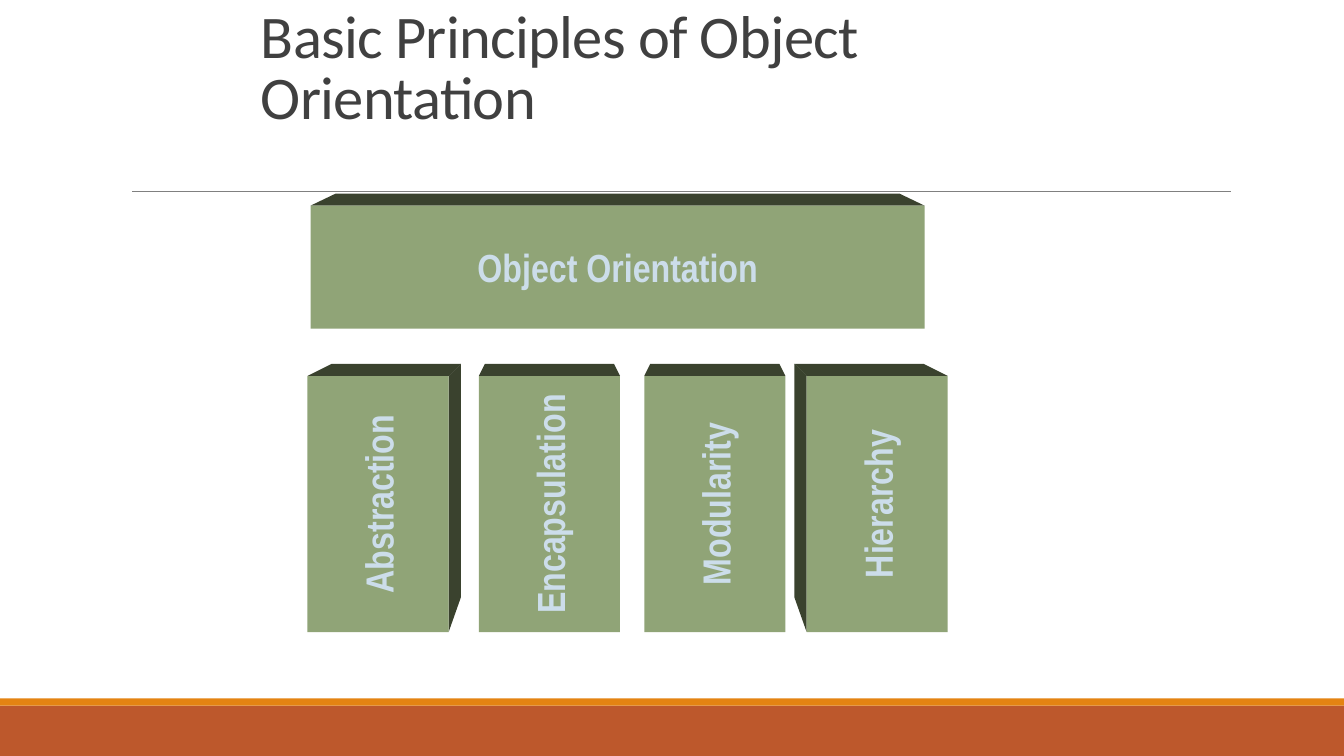
import pptx
import pptx.dml.color
import pptx.enum.shapes
import pptx.enum.text
import pptx.util
from lxml import etree

Inches = pptx.util.Inches
MSO_SHAPE = pptx.enum.shapes.MSO_SHAPE
ANCHOR = pptx.enum.text.MSO_ANCHOR
ALIGN = pptx.enum.text.PP_ALIGN

COLORS = {
    "brick": "BD582C", "orange": "E48312", "rule": "808080", "title": "404040",
    "face": "90A477", "edge": "3A422E", "label": "CCDDEA",
}
DEPTH = 0.12  # height of a block's lid and width of its visible side
PILLAR_TOP, PILLAR_W, PILLAR_H = 3.73, 1.4, 2.54
BACK_W, BACK_BOTTOM = 1.28, 5.93
# name, left of the front face, offset of the back face
PILLARS = [
    ("Abstraction", 3.05, 0.24),
    ("Encapsulation", 4.75, 0.06),
    ("Modularity", 6.39, 0.06),
    ("Hierarchy", 8.0, -0.12),
]


def rgb(name):
    return pptx.dml.color.RGBColor.from_string(COLORS[name])


def paint(sp, color):
    sp.shadow.inherit = False
    sp.fill.solid()
    sp.fill.fore_color.rgb = rgb(color)
    sp.line.fill.background()


def add_rect(slide, x, y, w, h, color):
    sp = slide.shapes.add_shape(MSO_SHAPE.RECTANGLE, Inches(x), Inches(y), Inches(w), Inches(h))
    paint(sp, color)
    return sp


def add_polygon(slide, points, color):
    points = [(Inches(x), Inches(y)) for x, y in points]
    builder = slide.shapes.build_freeform(*points[0])
    builder.add_line_segments(points[1:], close=True)
    paint(builder.convert_to_shape(), color)


def add_rule(slide, x1, x2, y):
    line = slide.shapes.add_connector(
        pptx.enum.shapes.MSO_CONNECTOR.STRAIGHT, Inches(x1), Inches(y), Inches(x2), Inches(y))
    line.line.color.rgb = rgb("rule")
    line.line.width = pptx.util.Pt(0.5)
    etree.SubElement(line._element.spPr, pptx.oxml.ns.qn("a:effectLst"))


def write(sp, text, *, size, font, color, bold=False, align=ALIGN.LEFT,
          anchor=ANCHOR.MIDDLE, wrap=False, line_spacing=None, tracking=None):
    tf = sp.text_frame
    tf.auto_size = pptx.enum.text.MSO_AUTO_SIZE.NONE
    tf.word_wrap = wrap
    tf.vertical_anchor = anchor
    p = tf.paragraphs[0]
    p.alignment = align
    if line_spacing:
        p.line_spacing = line_spacing
    r = p.add_run()
    r.text = text
    r.font.size = pptx.util.Pt(size)
    r.font.name = font
    r.font.bold = bold
    r.font.color.rgb = rgb(color)
    if tracking:
        r.font._element.set("spc", str(round(tracking * 100)))


def add_label_face(slide, text, x, y, w, h, upward=False):
    """Front face with its label; an upward one is a rotated rectangle."""
    if upward:
        x, y, w, h = x + (w - h) / 2, y + (h - w) / 2, h, w
    sp = add_rect(slide, x, y, w, h, "face")
    if upward:
        sp.rotation = 270
    write(sp, text, size=28, font="Arial Narrow", color="label", bold=True, align=ALIGN.CENTER)


def add_lid(slide, x, y, w, back_x, back_w):
    add_polygon(slide, [(x, y), (back_x, y - DEPTH), (back_x + back_w, y - DEPTH), (x + w, y)], "edge")


def add_side(slide, front_x, back_x):
    add_polygon(slide, [(front_x, PILLAR_TOP), (back_x, PILLAR_TOP - DEPTH),
                        (back_x, BACK_BOTTOM), (front_x, PILLAR_TOP + PILLAR_H)], "edge")


def add_pillar(slide, name, x, offset):
    back_x = x + offset
    right, back_right = x + PILLAR_W, back_x + BACK_W
    add_lid(slide, x, PILLAR_TOP, PILLAR_W, back_x, BACK_W)
    if back_right > right:
        add_side(slide, right, back_right)
    if back_x < x:
        add_side(slide, x, back_x)
    add_label_face(slide, name, x, PILLAR_TOP, PILLAR_W, PILLAR_H, upward=True)


def main():
    prs = pptx.Presentation()
    prs.slide_width, prs.slide_height = Inches(13.33), Inches(7.5)
    slide = prs.slides.add_slide(prs.slide_layouts[6])

    add_rect(slide, 0, 7, 13.33, 0.5, "brick")
    add_rect(slide, 0, 6.93, 13.33, 0.07, "orange")
    add_rule(slide, 1.31, 12.21, 1.9)

    add_lid(slide, 3.08, 2.04, 6.09, 3.33, 5.59)
    add_label_face(slide, "Object Orientation", 3.08, 2.04, 6.09, 1.22)
    for name, x, offset in PILLARS:
        add_pillar(slide, name, x, offset)

    title = slide.shapes.add_textbox(Inches(2.49), Inches(0.58), Inches(6.94), Inches(0.78))
    write(title, "Basic Principles of Object Orientation", size=43.2, font="Calibri",
          color="title", anchor=ANCHOR.BOTTOM, wrap=True, line_spacing=0.85, tracking=-0.5)

    prs.save("out.pptx")


if __name__ == "__main__":
    main()
